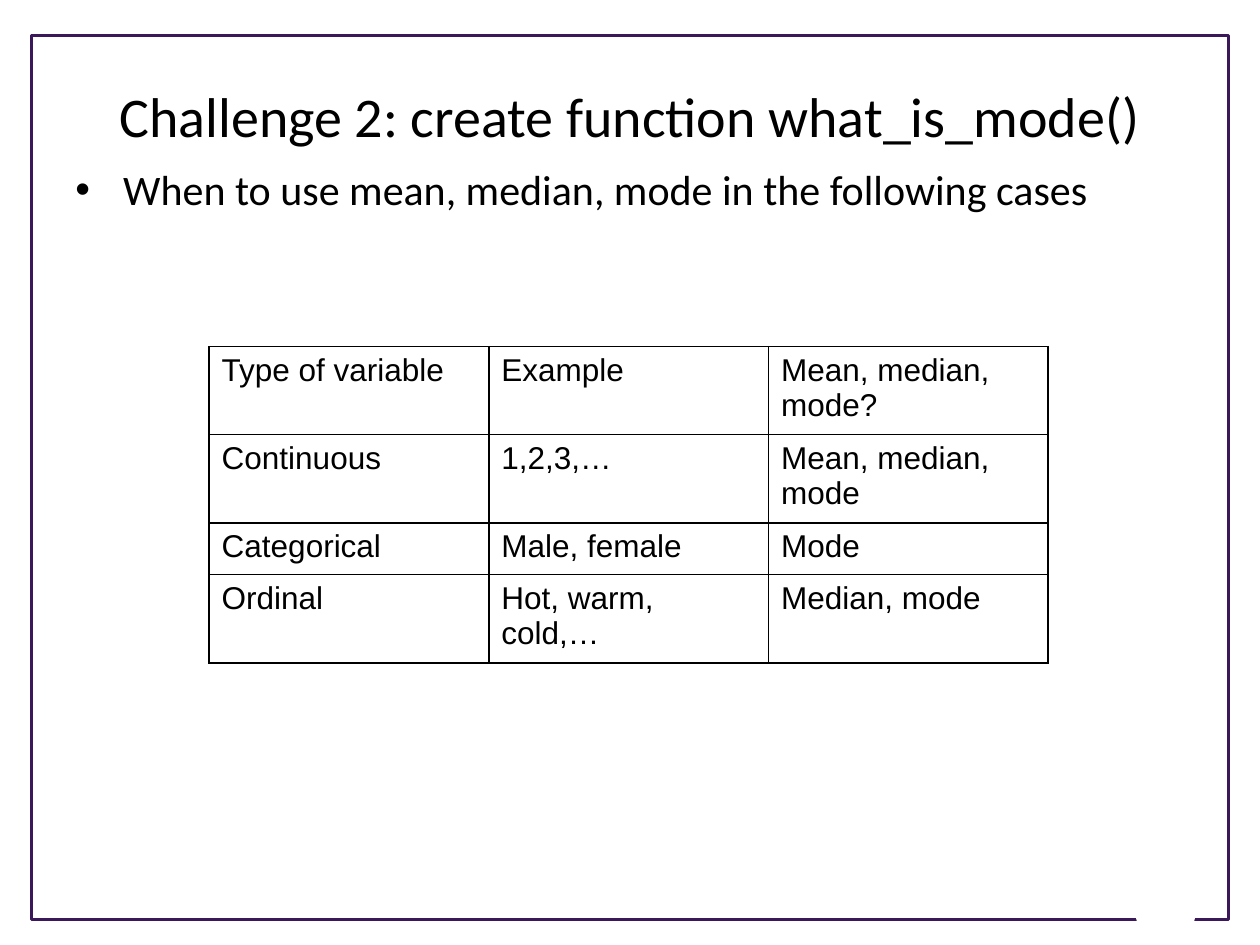
"""Build the slide on choosing between mean, median and mode."""
from dataclasses import dataclass

from lxml import etree
from pptx import Presentation
from pptx import util as u
from pptx.dml.color import RGBColor
from pptx.enum import shapes, text
from pptx.oxml import ns

BLACK = RGBColor(0x00, 0x00, 0x00)
WHITE = RGBColor(0xFF, 0xFF, 0xFF)
PURPLE = RGBColor(0x3B, 0x18, 0x5A)

COLUMN_WIDTH = u.Inches(2.22)
ROW_HEIGHT = u.Inches(0.41)
VARIABLE_ROWS = (
    ("Type of variable", "Example", "Mean, median, mode?"),
    ("Continuous", "1,2,3,…", "Mean, median, mode"),
    ("Categorical", "Male, female", "Mode"),
    ("Ordinal", "Hot, warm, cold,…", "Median, mode"),
)


@dataclass(frozen=True)
class TextBlock:
    words: str
    place: tuple[float, float, float, float]
    size: int
    anchor: text.MSO_ANCHOR
    align: text.PP_ALIGN
    bulleted: bool = False


@dataclass(frozen=True)
class Panel:
    kind: shapes.MSO_SHAPE
    place: tuple[float, float, float, float]
    fill: RGBColor | None = None
    line: RGBColor | None = None
    rotation: int = 0


PANELS = (
    Panel(shapes.MSO_SHAPE.RECTANGLE, (0.25, 0.28, 9.5, 7.02), line=PURPLE),
    Panel(shapes.MSO_SHAPE.TRAPEZOID, (8.93, 6.94, 0.64, 0.43), fill=WHITE, rotation=180),
)
TEXT_BLOCKS = (
    TextBlock("Challenge 2: create function what_is_mode()", (0.5, 0.58, 9, 0.67), 32,
              text.MSO_ANCHOR.MIDDLE, text.PP_ALIGN.CENTER),
    TextBlock("When to use mean, median, mode in the following cases", (0.5, 1.25, 9, 5.25), 24,
              text.MSO_ANCHOR.TOP, text.PP_ALIGN.LEFT, bulleted=True),
)


def add_child(parent, tag: str, **values: str):
    return etree.SubElement(parent, ns.qn(tag), values)


def write_span(para, words: str, font_name: str, size: int) -> None:
    span = para.add_run()
    span.text = words
    for name, value in {"name": font_name, "size": u.Pt(size)}.items():
        setattr(span.font, name, value)
    span.font.color.rgb = BLACK


def draw_panel(page, panel: Panel) -> None:
    box = page.shapes.add_shape(panel.kind, *map(u.Inches, panel.place))
    box.shadow.inherit = False
    box.rotation = panel.rotation
    if panel.fill is None:
        box.fill.background()
    else:
        box.fill.solid()
        box.fill.fore_color.rgb = panel.fill
    if panel.line is None:
        box.line.fill.background()
    else:
        box.line.color.rgb = panel.line
        box.line.width = u.Pt(1.75)


def draw_text(page, block: TextBlock) -> None:
    box = page.shapes.add_textbox(*map(u.Inches, block.place))
    frame = box.text_frame
    for name, value in {"word_wrap": True, "vertical_anchor": block.anchor}.items():
        setattr(frame, name, value)
    para = frame.paragraphs[0]
    para.alignment = block.align
    if block.bulleted:
        add_bullet(para)
    write_span(para, block.words, "Calibri", block.size)


def add_bullet(para) -> None:
    properties = para._p.get_or_add_pPr()
    indent = u.Inches(0.38)
    properties.set("marL", str(indent))
    properties.set("indent", str(-indent))
    add_child(add_child(properties, "a:spcBef"), "a:spcPct", val="20000")
    add_child(properties, "a:buFont", typeface="Arial")
    add_child(properties, "a:buChar", char="•")


def add_borders(cell) -> None:
    properties = cell._tc.get_or_add_tcPr()
    for side in ("L", "R", "T", "B"):
        line = add_child(properties, f"a:ln{side}", w=str(u.Pt(1)))
        add_child(add_child(line, "a:solidFill"), "a:srgbClr", val=str(BLACK))


def draw_table(page, rows: tuple[tuple[str, ...], ...]) -> None:
    row_count, column_count = len(rows), len(rows[0])
    table = page.shapes.add_table(
        row_count, column_count, u.Inches(1.66), u.Inches(2.75),
        COLUMN_WIDTH * column_count, ROW_HEIGHT * row_count).table
    for name, value in {"first_row": False, "horz_banding": False}.items():
        setattr(table, name, value)
    for column in table.columns:
        column.width = COLUMN_WIDTH
    for row, entries in zip(table.rows, rows):
        row.height = ROW_HEIGHT
        for cell, words in zip(row.cells, entries):
            add_borders(cell)
            cell.fill.background()
            write_span(cell.text_frame.paragraphs[0], words, "Arial", 18)


def main() -> None:
    deck = Presentation()
    deck.slide_width, deck.slide_height = u.Inches(10), u.Inches(7.5)
    page = deck.slides.add_slide(deck.slide_layouts[6])
    page.background.fill.solid()
    page.background.fill.fore_color.rgb = WHITE
    for panel in PANELS:
        draw_panel(page, panel)
    for block in TEXT_BLOCKS:
        draw_text(page, block)
    draw_table(page, VARIABLE_ROWS)
    deck.save("out.pptx")


if __name__ == "__main__":
    main()
